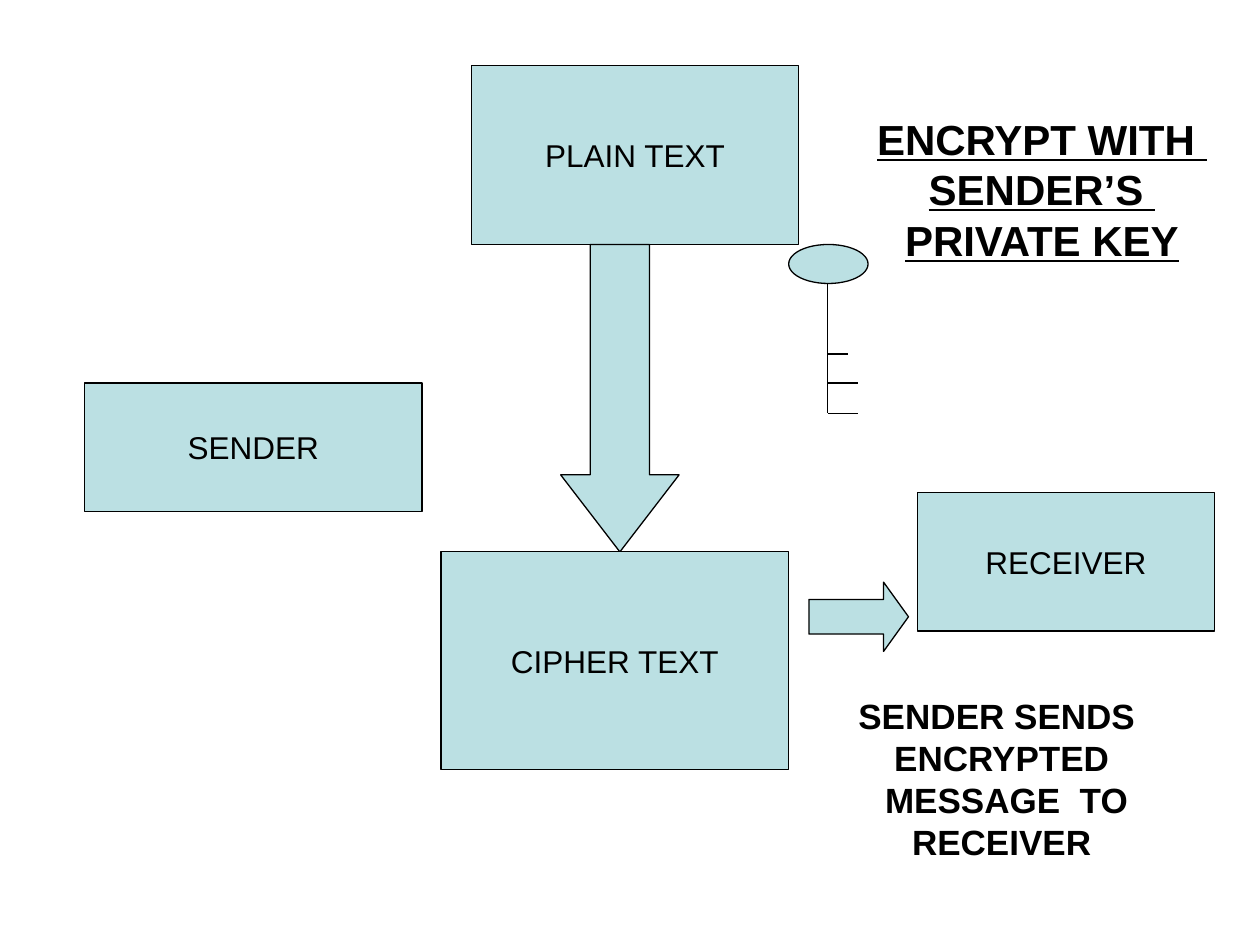
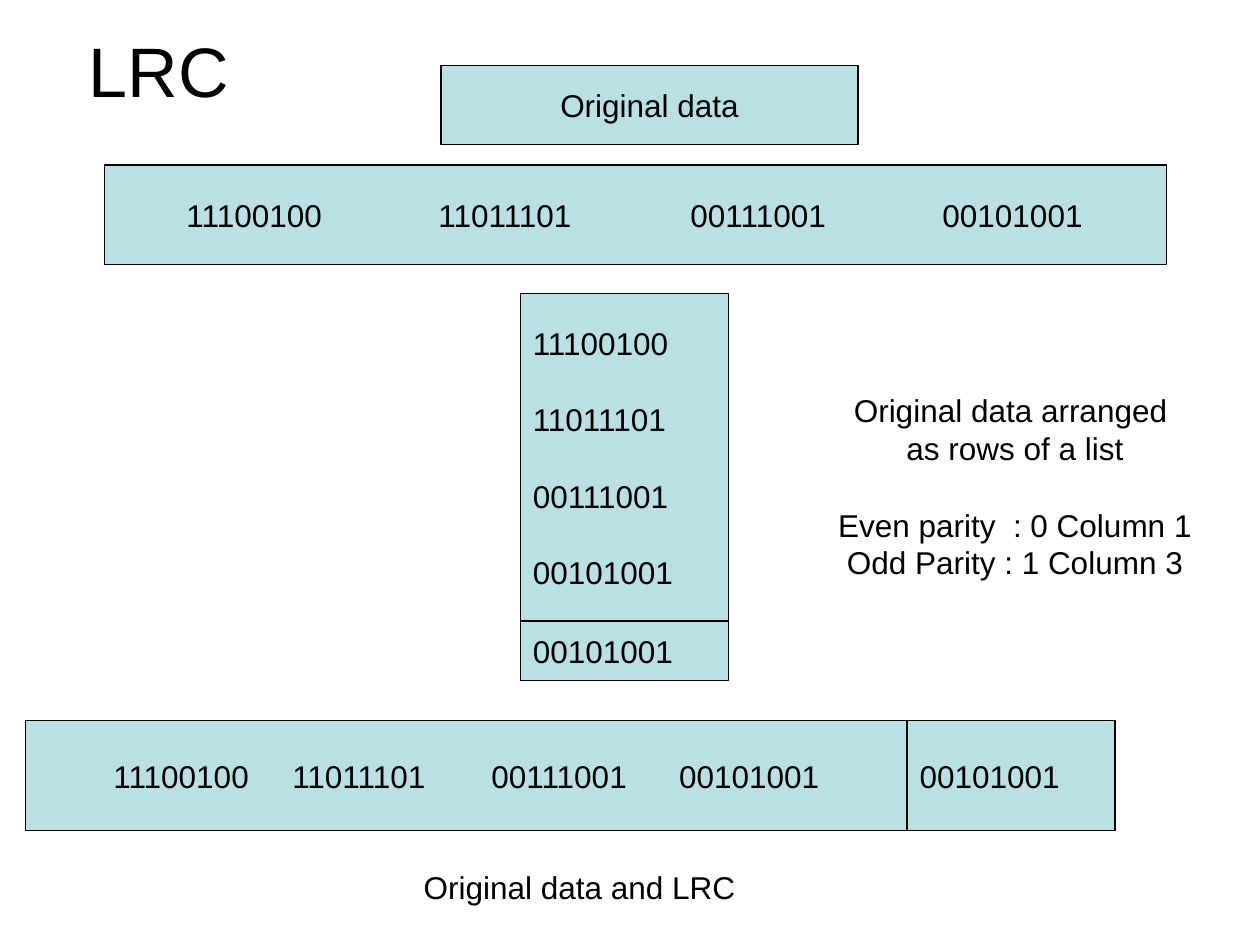
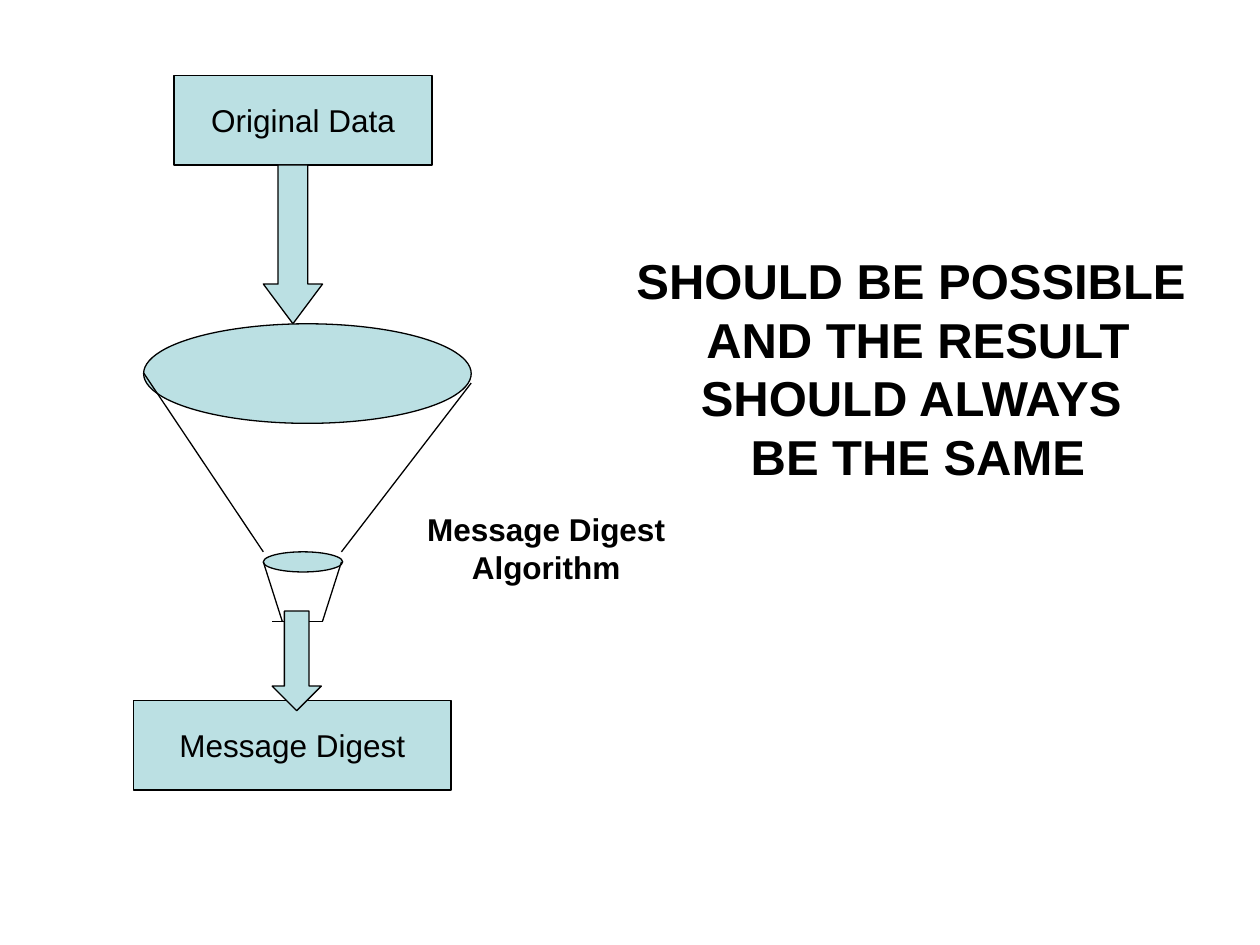
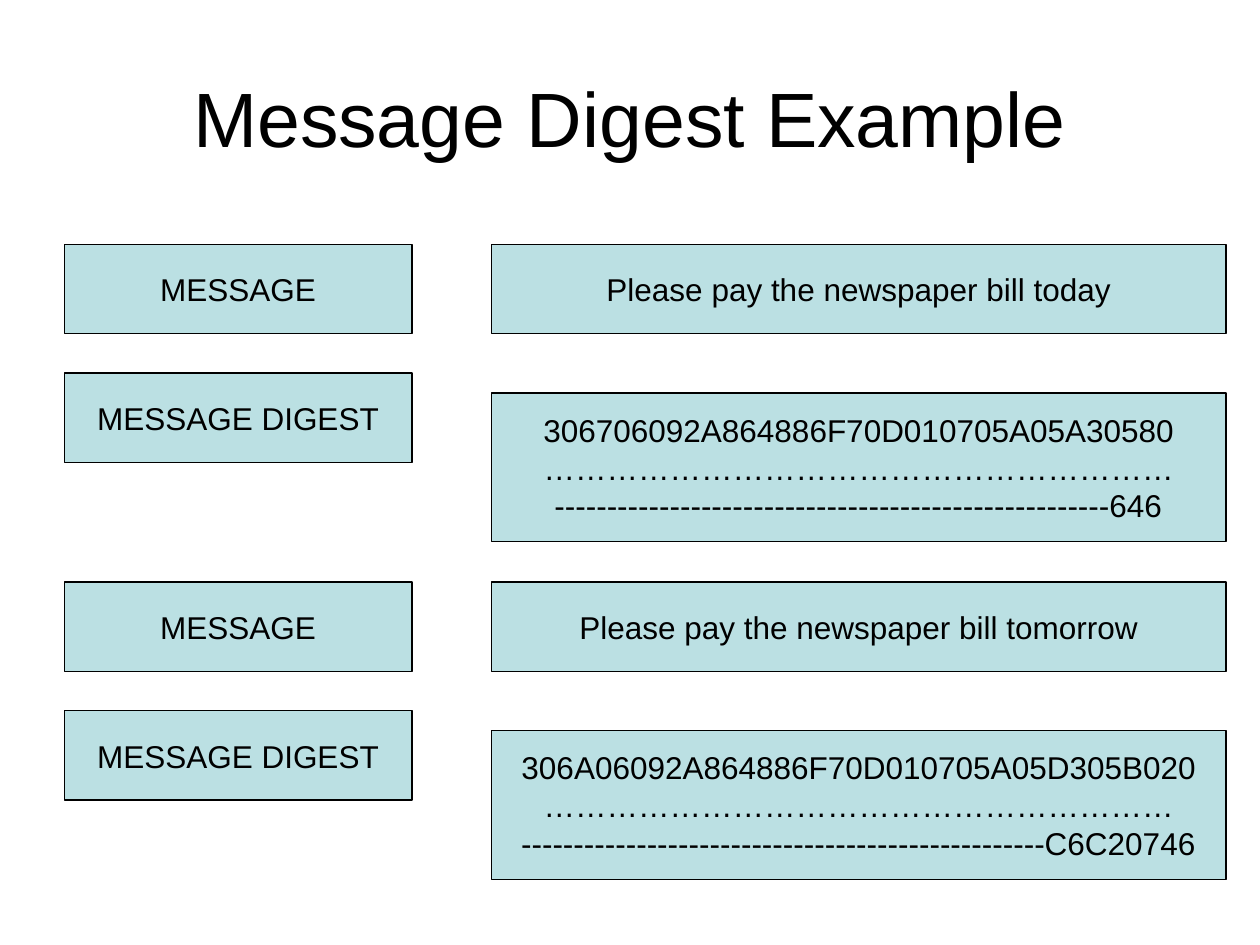
"""Build four slides on encryption, LRC parity and message digests."""
from lxml import etree
from pptx import Presentation
from pptx.dml.color import RGBColor
from pptx.enum.shapes import MSO_CONNECTOR, MSO_SHAPE
from pptx.enum.text import MSO_ANCHOR, MSO_AUTO_SIZE, PP_ALIGN
from pptx.oxml.ns import qn
from pptx.util import Inches, Pt

RECT, OVAL = MSO_SHAPE.RECTANGLE, MSO_SHAPE.OVAL
DOWN, RIGHT = MSO_SHAPE.DOWN_ARROW, MSO_SHAPE.RIGHT_ARROW
STRAIGHT = MSO_CONNECTOR.STRAIGHT
MIDDLE, FIXED = MSO_ANCHOR.MIDDLE, MSO_AUTO_SIZE.NONE
CENTER, LEFT = PP_ALIGN.CENTER, PP_ALIGN.LEFT
TINT = RGBColor(0xBB, 0xE0, 0xE3)
BLACK = RGBColor(0, 0, 0)
FONT = "Arial"
WORDS = ["11100100", "11011101", "00111001", "00101001"]
PARITY = "00101001"


def put(slide, kind, box, text="", size=18, bold=False, align=CENTER, fill=True):
    """Add a preset shape, or a text box when kind is None."""
    area = [Inches(n) for n in box]
    if kind is None:
        shape = slide.shapes.add_textbox(*area)
        shape.text_frame.margin_left = shape.text_frame.margin_right = 0
    else:
        shape = slide.shapes.add_shape(kind, *area)
        shape.shadow.inherit = False
        if fill:
            shape.fill.solid()
            shape.fill.fore_color.rgb = TINT
            shape.line.color.rgb = BLACK
            shape.line.width = Pt(0.75)
        else:
            shape.fill.background()
            shape.line.fill.background()
    if text:
        frame = shape.text_frame
        frame.text = text
        frame.word_wrap = False
        frame.vertical_anchor = MIDDLE
        for par in frame.paragraphs:
            par.alignment = align
            for run in par.runs:
                run.font.name = FONT
                run.font.size = Pt(size)
                run.font.bold = bold
                run.font.color.rgb = BLACK
    return shape


def draw(slide, ends):
    """Add thin black lines, each given as x1, y1, x2, y2."""
    for end in ends:
        line = slide.shapes.add_connector(STRAIGHT, *[Inches(n) for n in end])
        line.line.color.rgb = BLACK
        line.line.width = Pt(0.75)
        etree.SubElement(line._element.spPr, qn("a:effectLst"))


deck = Presentation()
deck.slide_width, deck.slide_height = Inches(10), Inches(7.5)
titled, blank = deck.slide_layouts[5], deck.slide_layouts[6]
crypt, lrc, digest, sample = [
    deck.slides.add_slide(kind) for kind in (blank, titled, blank, titled)]

for slide, text, box, size in [
        (lrc, "LRC", (0.43, 0.28, 1.66, 0.54), 40),
        (sample, "Message Digest Example", (0.5, 0.3, 9, 1.25), 44)]:
    title = slide.shapes.title
    title.left, title.top, title.width, title.height = [Inches(n) for n in box]
    frame = title.text_frame
    frame.text = text
    frame.auto_size = FIXED
    frame.vertical_anchor = MIDDLE
    par = frame.paragraphs[0]
    par.alignment = CENTER
    font = par.runs[0].font
    font.name, font.size, font.color.rgb = FONT, Pt(size), BLACK

head = put(crypt, OVAL, (7.05, 0.36, 2.44, 2.28),
           "ENCRYPT WITH \nSENDER’S \nPRIVATE KEY", 24, True, fill=False)
for par in head.text_frame.paragraphs:
    par.runs[0].font.underline = True
put(crypt, RECT, (0.67, 3.04, 2.68, 1.02), "SENDER")
put(crypt, RECT, (3.74, 0.52, 2.6, 1.42), "PLAIN TEXT")
arrow = put(crypt, DOWN, (4.45, 1.94, 0.94, 2.44))
arrow.adjustments[1] = 0.65
put(crypt, RECT, (3.5, 4.38, 2.76, 1.73), "CIPHER TEXT")
put(crypt, OVAL, (6.26, 1.94, 0.63, 0.31))
stem = 6.57
draw(crypt, [(stem, 2.25, stem, 3.28), (stem, 2.81, 6.73, 2.81),
             (stem, 3.04, 6.81, 3.04), (stem, 3.28, 6.81, 3.28)])
put(crypt, RECT, (7.28, 3.91, 2.36, 1.1), "RECEIVER")
arrow = put(crypt, RIGHT, (6.42, 4.62, 0.79, 0.55))
arrow.adjustments[1] = 0.36
put(crypt, OVAL, (6.73, 5.22, 2.44, 1.92),
    "SENDER SENDS \nENCRYPTED\n MESSAGE  TO\nRECEIVER", 20, True, fill=False)

for box, inset, stops in [
        ((0.83, 1.31, 8.43, 0.79), 0.65, (2, 4, 6)),
        ((0.2, 5.72, 7, 0.87), 0.7, (1.42, 3, 4.49))]:
    strip = put(lrc, RECT, box, "\t".join(WORDS), align=LEFT)
    frame = strip.text_frame
    frame.word_wrap = True
    frame.margin_left = Inches(inset)
    props = frame.paragraphs[0]._p.get_or_add_pPr()
    tabs = etree.SubElement(props, qn("a:tabLst"))
    for stop in stops:
        etree.SubElement(tabs, qn("a:tab"), pos=str(Inches(stop)), algn="l")
put(lrc, RECT, (3.5, 0.52, 3.31, 0.63), "Original data")
stack = put(lrc, RECT, (4.13, 2.33, 1.65, 2.6), "\n".join(WORDS), align=LEFT)
for par in stack.text_frame.paragraphs[1:]:
    par.space_before = Pt(22)
note = put(lrc, None, (6.5, 2.88, 3.11, 1.96),
           "Original data arranged \nas rows of a list\n"
           "Even parity  : 0 Column 1\nOdd Parity : 1 Column 3")
note.text_frame.paragraphs[2].space_before = Pt(22)
for box in [(4.13, 4.93, 1.65, 0.47), (7.2, 5.72, 1.65, 0.87)]:
    put(lrc, RECT, box, PARITY, align=LEFT)
put(lrc, None, (1.61, 6.74, 5.98, 0.6), "Original data and LRC")

put(digest, RECT, (1.38, 0.6, 2.05, 0.71), "Original Data")
arrow = put(digest, DOWN, (2.09, 1.31, 0.47, 1.26))
arrow.adjustments[1] = 0.67
put(digest, OVAL, (1.14, 2.57, 2.6, 0.79))
draw(digest, [(1.14, 2.96, 2.09, 4.38), (3.74, 3.04, 2.71, 4.38)])
put(digest, OVAL, (2.09, 4.38, 0.63, 0.16))
draw(digest, [(2.09, 4.46, 2.24, 4.93), (2.71, 4.46, 2.56, 4.93),
              (2.16, 4.93, 2.56, 4.93)])
put(digest, RECT, (1.06, 5.56, 2.52, 0.71), "Message Digest")
put(digest, DOWN, (2.16, 4.85, 0.39, 0.79))
put(digest, None, (5, 0.44, 4.57, 4.96),
    "SHOULD BE POSSIBLE \nAND THE RESULT\nSHOULD ALWAYS \nBE THE SAME", 28, True)
put(digest, None, (3.35, 3.99, 1.97, 0.71), "Message Digest\nAlgorithm", bold=True)

dots = "…" * 20
for top, day, first, last in [
        (1.94, "today", "306706092A864886F70D010705A05A30580", "-" * 53 + "646"),
        (4.62, "tomorrow", "306A06092A864886F70D010705A05D305B020",
         "-" * 50 + "C6C20746")]:
    put(sample, RECT, (0.51, top, 2.76, 0.71), "MESSAGE")
    put(sample, RECT, (3.9, top, 5.83, 0.71), f"Please pay the newspaper bill {day}")
    put(sample, RECT, (0.51, top + 1.02, 2.76, 0.71), "MESSAGE DIGEST")
    put(sample, RECT, (3.9, top + 1.18, 5.83, 1.18), f"{first}\n{dots}\n{last}")

deck.save("out.pptx")
